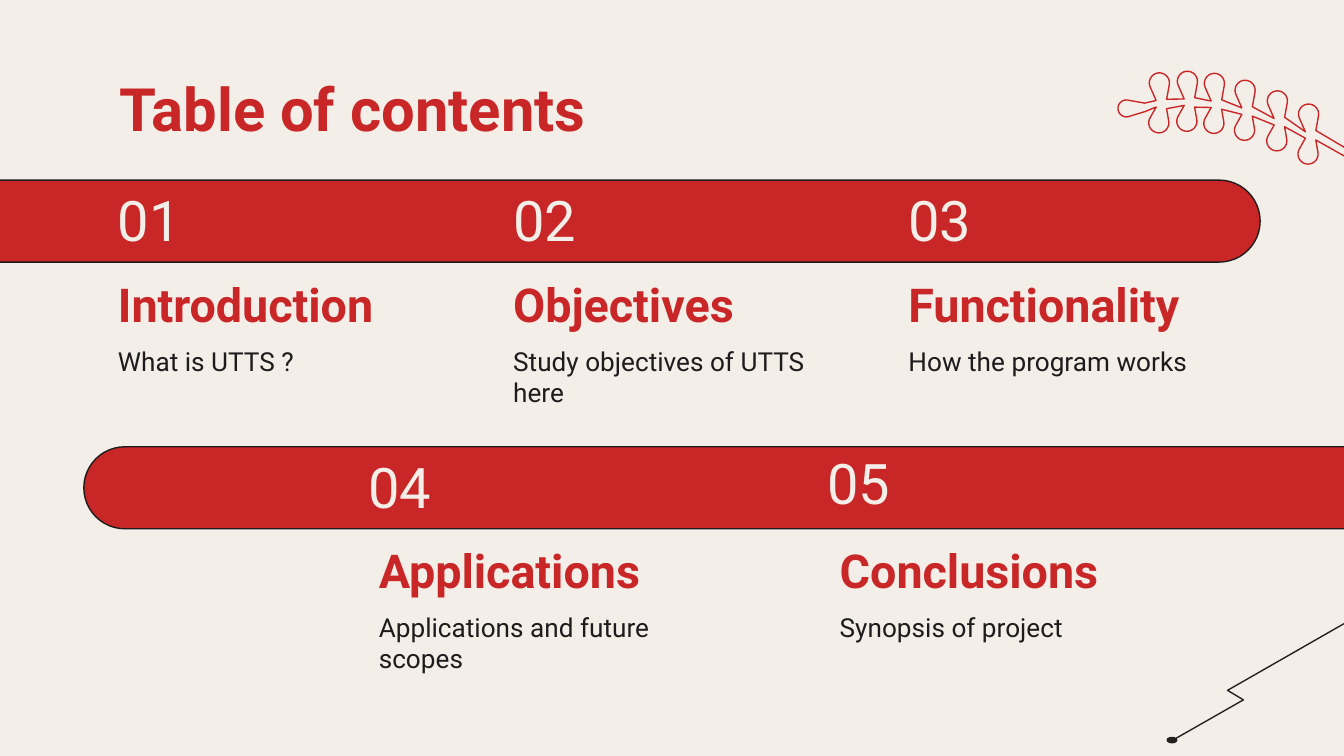
from math import cos, hypot, radians, sin

from pptx import Presentation
from pptx.dml.color import RGBColor
from pptx.enum.shapes import MSO_SHAPE
from pptx.enum.text import MSO_ANCHOR
from pptx.util import Cm, Pt

CREAM = RGBColor(0xF4, 0xEE, 0xE9)
RED = RGBColor(0xC9, 0x27, 0x27)
INK = RGBColor(0x1E, 0x1B, 0x1C)
CHARCOAL = RGBColor(0x23, 0x1F, 0x20)
FONT = "Roboto"
COLUMN_WIDTH = 6.5

ENTRIES = [
    ("01", "Introduction", "What is UTTS ?", 1.98, 5.21, 0, 0),
    ("02", "Objectives", "Study objectives of UTTS here", 9.45, 5.21, 0, 0),
    ("03", "Functionality", "How the program works", 16.92, 5.21, 0, 0),
    ("04", "Applications", "Applications and future scopes", 6.91, 10.24, -0.2, 0.02),
    ("05", "Conclusions", "Synopsis of project", 15.62, 10.24, -0.23, -0.06),
]

LIGHTNING = [(25.4, 11.79), (23.2, 13.05), (23.5, 13.23), (22.15, 14)]
LEAF_JOINTS = [(21.95, 1.89), (22.48, 1.86), (22.99, 1.9), (23.57, 2.03), (24.18, 2.23), (24.77, 2.48)]
STEM_END = [(25.6, 2.9), (25.53, 3.02)]


def style_shape(shape, fill, line):
    shape.shadow.inherit = False
    if fill is None:
        shape.fill.background()
    else:
        shape.fill.solid()
        shape.fill.fore_color.rgb = fill
    shape.line.color.rgb = line
    shape.line.width = Pt(0.75)


def leaf_points(base, reach_x, reach_y, neck=0.1, radius=0.19):
    length = hypot(reach_x, reach_y)
    unit_x, unit_y = reach_x / length, reach_y / length
    center = length - radius
    profile = [(-neck, 0)]
    for angle in range(-110, 111, 10):
        profile.append((radius * sin(radians(angle)), center + radius * cos(radians(angle))))
    profile.append((neck, 0))
    return [
        (base[0] + along * unit_x - across * unit_y, base[1] + along * unit_y + across * unit_x)
        for across, along in profile
    ]


def branch_points():
    points = leaf_points((21.64, 2.03), -0.51, 0.03, neck=0.08, radius=0.16)
    for joint in LEAF_JOINTS:
        points += leaf_points(joint, -0.06, -0.51)
    points += STEM_END
    for x, y in reversed(LEAF_JOINTS):
        points += leaf_points((x, y + 0.15), -0.08, 0.47)
    return points


def add_outline(slide, points, line, fill=None, close=False):
    scaled = [(Cm(x), Cm(y)) for x, y in points]
    builder = slide.shapes.build_freeform(*scaled[0])
    builder.add_line_segments(scaled[1:], close=close)
    style_shape(builder.convert_to_shape(), fill, line)


def add_dot(slide, left, top, width, height):
    dot = slide.shapes.add_shape(MSO_SHAPE.OVAL, Cm(left), Cm(top), Cm(width), Cm(height))
    style_shape(dot, CHARCOAL, CHARCOAL)


def add_bar(slide, center_x, center_y, rotation, thickness=1.55, length=23.83):
    bar = slide.shapes.add_shape(
        MSO_SHAPE.ROUND_2_SAME_RECTANGLE,
        Cm(center_x - thickness / 2), Cm(center_y - length / 2), Cm(thickness), Cm(length),
    )
    bar.adjustments[0] = 0.5
    bar.adjustments[1] = 0
    bar.rotation = rotation
    style_shape(bar, RED, INK)


def add_text(slide, text, box, size, color, bold=False, anchor=MSO_ANCHOR.BOTTOM, padding=0):
    text_box = slide.shapes.add_textbox(*[Cm(length) for length in box])
    text_frame = text_box.text_frame
    text_frame.word_wrap = True
    text_frame.vertical_anchor = anchor
    text_frame.margin_left = text_frame.margin_right = Cm(0.25)
    text_frame.margin_top = text_frame.margin_bottom = Cm(padding)
    text_frame.text = text
    font = text_frame.paragraphs[0].runs[0].font
    font.name = FONT
    font.size = Pt(size)
    font.bold = bold
    font.color.rgb = color


def add_entry(slide, number, heading, description, left, top, shift_x, shift_y):
    number_box = (left + shift_x, top - 1.65 + shift_y, 3.53, 1.22)
    add_text(slide, number, number_box, 30, CREAM)
    add_text(slide, heading, (left, top, COLUMN_WIDTH, 1.07), 25, RED, bold=True)
    add_text(slide, description, (left, top + 1.06, COLUMN_WIDTH, 1.35), 14, INK,
             anchor=MSO_ANCHOR.TOP, padding=0.25)


def main():
    presentation = Presentation()
    presentation.slide_width = Cm(25.4)
    presentation.slide_height = Cm(14.29)
    slide = presentation.slides.add_slide(presentation.slide_layouts[6])
    slide.background.fill.solid()
    slide.background.fill.fore_color.rgb = CREAM

    add_outline(slide, branch_points(), RED, CREAM, close=True)
    add_outline(slide, LIGHTNING, CHARCOAL)
    add_dot(slide, 22.06, 13.94, 0.18, 0.1)
    add_bar(slide, 13.5, 9.22, 270)
    add_bar(slide, 11.9, 4.18, 90)
    add_text(slide, "Table of contents", (2.01, 1.24, 21.41, 1.6), 32, RED, bold=True,
             anchor=MSO_ANCHOR.MIDDLE, padding=0.25)
    for entry in ENTRIES:
        add_entry(slide, *entry)

    presentation.save("out.pptx")


if __name__ == "__main__":
    main()
